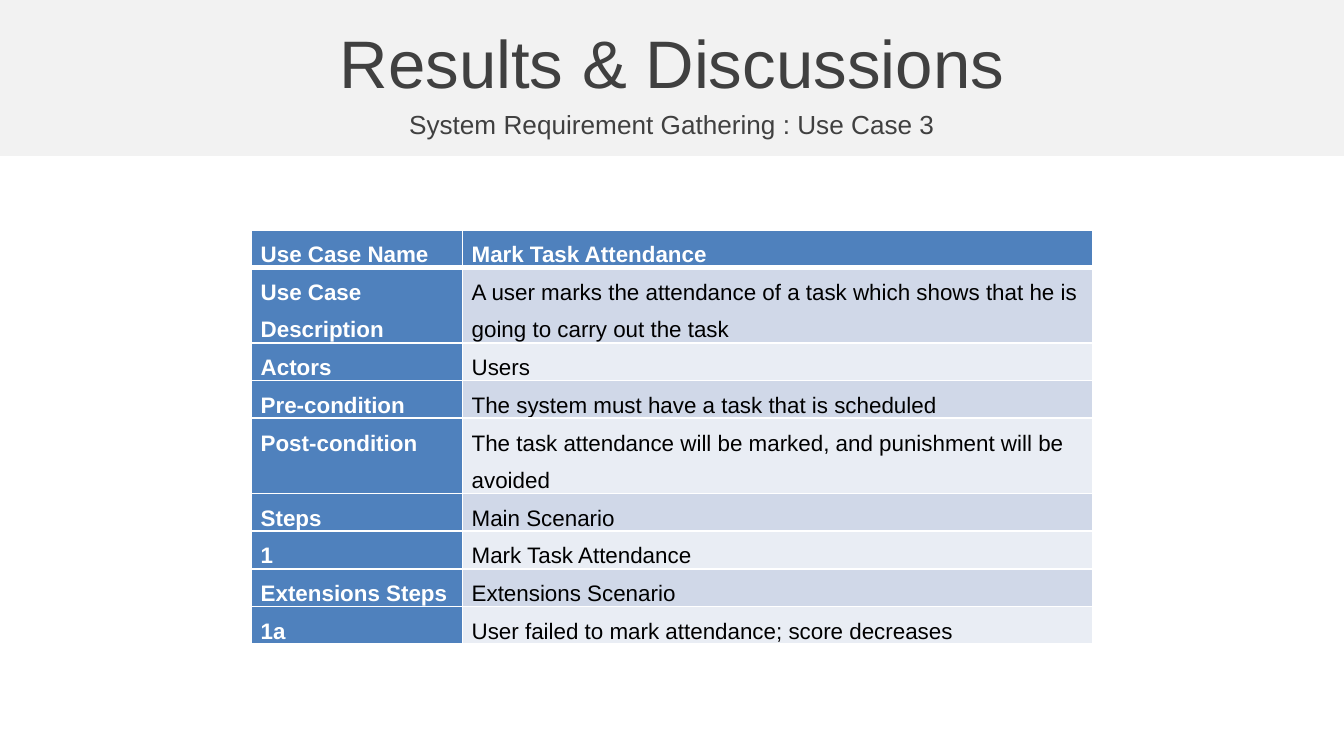
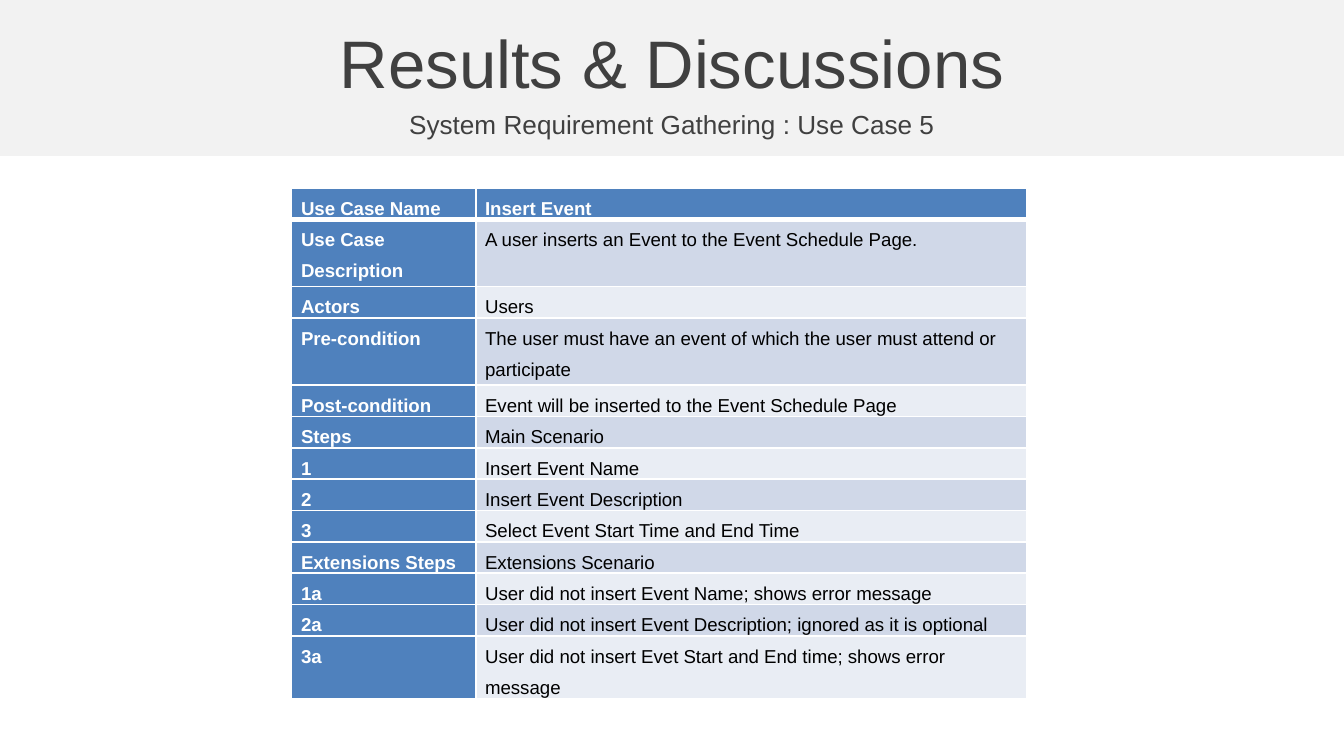
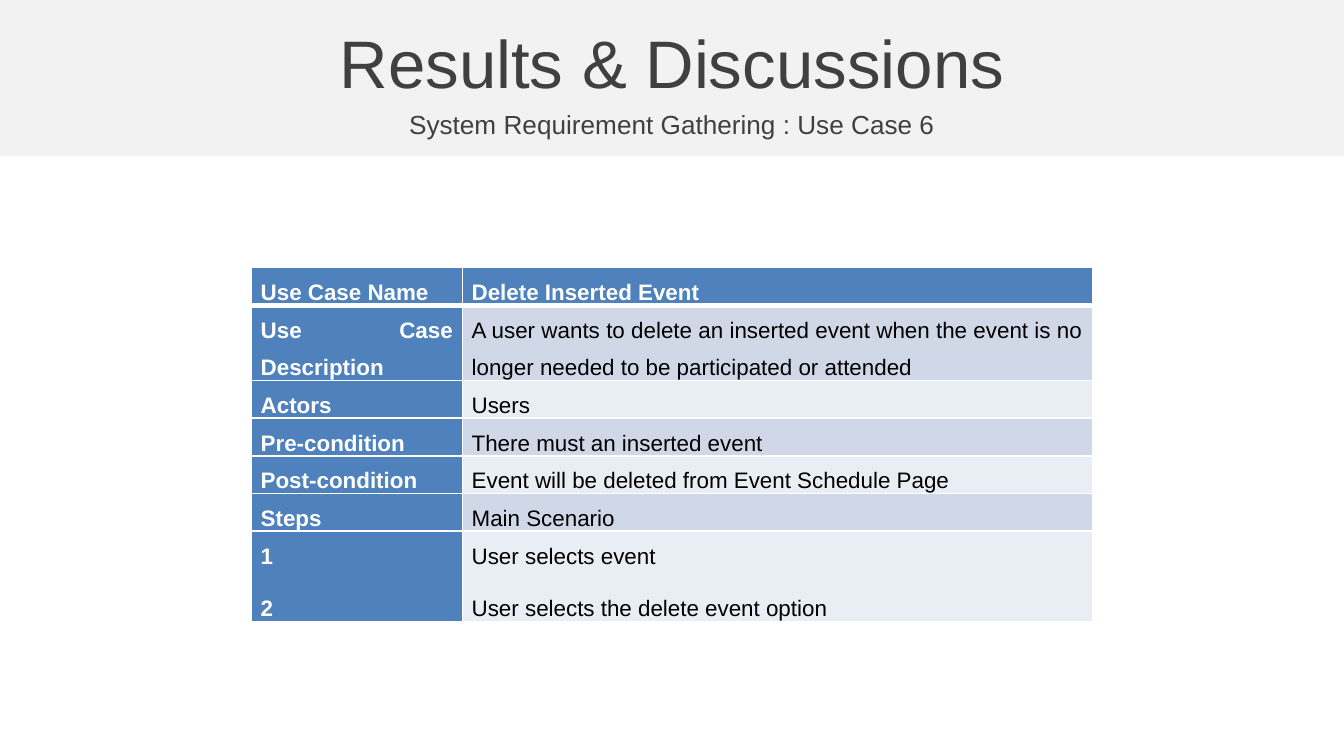
from dataclasses import dataclass

from lxml.etree import SubElement
from pptx import Presentation
from pptx.dml.color import RGBColor
from pptx.enum.shapes import MSO_SHAPE
from pptx.enum.text import MSO_ANCHOR, MSO_AUTO_SIZE
from pptx.enum.text import PP_ALIGN as Align
from pptx.oxml.ns import qn
from pptx.util import Inches, Pt

FONT = "Arial"
WHITE = RGBColor(0xFF, 0xFF, 0xFF)
BLACK = RGBColor(0x00, 0x00, 0x00)
INK = RGBColor(0x40, 0x40, 0x40)
BAND = RGBColor(0xF2, 0xF2, 0xF2)
BLUE = RGBColor(0x4F, 0x81, 0xBD)
STRIPES = (RGBColor(0xE9, 0xED, 0xF4), RGBColor(0xD0, 0xD8, 0xE8))

SLIDE_WIDTH = Inches(10)
SLIDE_HEIGHT = SLIDE_WIDTH * 9 // 16
TITLE = "Results & Discussions"


@dataclass(frozen=True)
class TableLayout:
    left: float
    top: float
    columns: tuple[float, float]
    row_height: float
    tall_height: float
    font_size: int
    align: Align | None = None


@dataclass(frozen=True)
class UseCase:
    number: int
    layout: TableLayout
    tall_rows: tuple[int, ...]
    rows: tuple[tuple[str, str], ...]


WIDE = (1.57, 4.69)
USE_CASES = (
    UseCase(3, TableLayout(1.87, 1.71, WIDE, 0.27, 0.54, 12), (1, 4), (
        ("Use Case Name", "Mark Task Attendance"),
        ("Use Case Description",
         "A user marks the attendance of a task which shows that he is going to carry out the task"),
        ("Actors", "Users"),
        ("Pre-condition", "The system must have a task that is scheduled"),
        ("Post-condition", "The task attendance will be marked, and punishment will be avoided"),
        ("Steps", "Main Scenario"),
        ("1", "Mark Task Attendance"),
        ("Extensions Steps", "Extensions Scenario"),
        ("1a", "User failed to mark attendance; score decreases"),
    )),
    UseCase(5, TableLayout(2.17, 1.4, (1.37, 4.1), 0.23, 0.5, 10), (1, 3), (
        ("Use Case Name", "Insert Event"),
        ("Use Case Description", "A user inserts an Event to the Event Schedule Page."),
        ("Actors", "Users"),
        ("Pre-condition", "The user must have an event of which the user must attend or participate"),
        ("Post-condition", "Event will be inserted to the Event Schedule Page"),
        ("Steps", "Main Scenario"),
        ("1", "Insert Event Name"),
        ("2", "Insert Event Description"),
        ("3", "Select Event Start Time and End Time"),
        ("Extensions Steps", "Extensions Scenario"),
        ("1a", "User did not insert Event Name; shows error message"),
        ("2a", "User did not insert Event Description; ignored as it is optional"),
        ("3a", "User did not insert Evet Start and End time; shows error message"),
    )),
    UseCase(6, TableLayout(1.87, 1.99, WIDE, 0.27, 0.54, 12, Align.JUSTIFY), (1, 6), (
        ("Use Case Name", "Delete Inserted Event"),
        ("Use Case Description",
         "A user wants to delete an inserted event when the event is no longer needed "
         "to be participated or attended"),
        ("Actors", "Users"),
        ("Pre-condition", "There must an inserted event"),
        ("Post-condition", "Event will be deleted from Event Schedule Page"),
        ("Steps", "Main Scenario"),
        ("1\n2", "User selects event\nUser selects the delete event option"),
    )),
)


def add_span(para, text: str, size: int, color: RGBColor, bold: bool = False) -> None:
    span = para.add_run()
    span.text = text
    span.font.name = FONT
    span.font.size = Pt(size)
    span.font.bold = bold
    span.font.color.rgb = color


def add_band(page, layout) -> None:
    band = page.shapes.add_shape(MSO_SHAPE.RECTANGLE, 0, 0, SLIDE_WIDTH, Inches(1.16))
    band.shadow.inherit = False
    band.fill.solid()
    band.fill.fore_color.rgb = BAND
    band.line.fill.background()
    layout.shapes.element.insert(2, band.element)


def fill_heading(box, text: str, top: float, height: float, size: int, before: float) -> None:
    box.left, box.top = 0, Inches(top)
    box.width, box.height = SLIDE_WIDTH, Inches(height)
    frame = box.text_frame
    frame.auto_size = MSO_AUTO_SIZE.NONE
    frame.vertical_anchor = MSO_ANCHOR.MIDDLE
    para = frame.paragraphs[0]
    para.alignment = Align.CENTER
    para.space_before = Pt(before)
    add_span(para, text, size, INK)


def set_borders(cell, row: int) -> None:
    properties = cell._tc.get_or_add_tcPr()
    widths = {"L": 1, "R": 1, "T": 3 if row == 1 else 1, "B": 3 if row == 0 else 1}
    for side, width in widths.items():
        line = SubElement(properties, qn(f"a:ln{side}"), w=str(Pt(width)))
        SubElement(SubElement(line, qn("a:solidFill")), qn("a:srgbClr"), val=str(WHITE))


def fill_cell(cell, text: str, row: int, column: int, layout: TableLayout) -> None:
    heading = row == 0 or column == 0
    set_borders(cell, row)
    cell.fill.solid()
    cell.fill.fore_color.rgb = BLUE if heading else STRIPES[row % 2]
    cell.margin_left = cell.margin_right = Inches(0.07)
    cell.margin_top = cell.margin_bottom = 0
    frame = cell.text_frame
    for index, line in enumerate(text.split("\n")):
        para = frame.add_paragraph() if index else frame.paragraphs[0]
        para.alignment = layout.align
        para.line_spacing = 1.5
        para.space_after = Pt(8)
        add_span(para, line, layout.font_size, WHITE if heading else BLACK, heading)


def add_use_case_table(page, case: UseCase) -> None:
    layout = case.layout
    heights = [layout.tall_height if row in case.tall_rows else layout.row_height
               for row in range(len(case.rows))]
    table = page.shapes.add_table(
        len(case.rows), len(layout.columns), Inches(layout.left), Inches(layout.top),
        Inches(sum(layout.columns)), Inches(sum(heights))).table
    table.first_col = True
    for column, width in zip(table.columns, layout.columns):
        column.width = Inches(width)
    for row, (height, texts) in enumerate(zip(heights, case.rows)):
        table.rows[row].height = Inches(height)
        for column, text in enumerate(texts):
            fill_cell(table.cell(row, column), text, row, column, layout)


def main() -> None:
    deck = Presentation()
    deck.slide_width, deck.slide_height = SLIDE_WIDTH, SLIDE_HEIGHT
    layout = deck.slide_layouts[0]
    for index, case in enumerate(USE_CASES):
        page = deck.slides.add_slide(layout)
        if index == 0:
            add_band(page, layout)
        fill_heading(page.shapes.title, TITLE, 0.14, 0.63, 36, 3)
        subtitle = f"System Requirement Gathering : Use Case {case.number}"
        fill_heading(page.placeholders[1], subtitle, 0.77, 0.31, 14, 2.8)
        add_use_case_table(page, case)
    deck.save("out.pptx")


if __name__ == "__main__":
    main()
